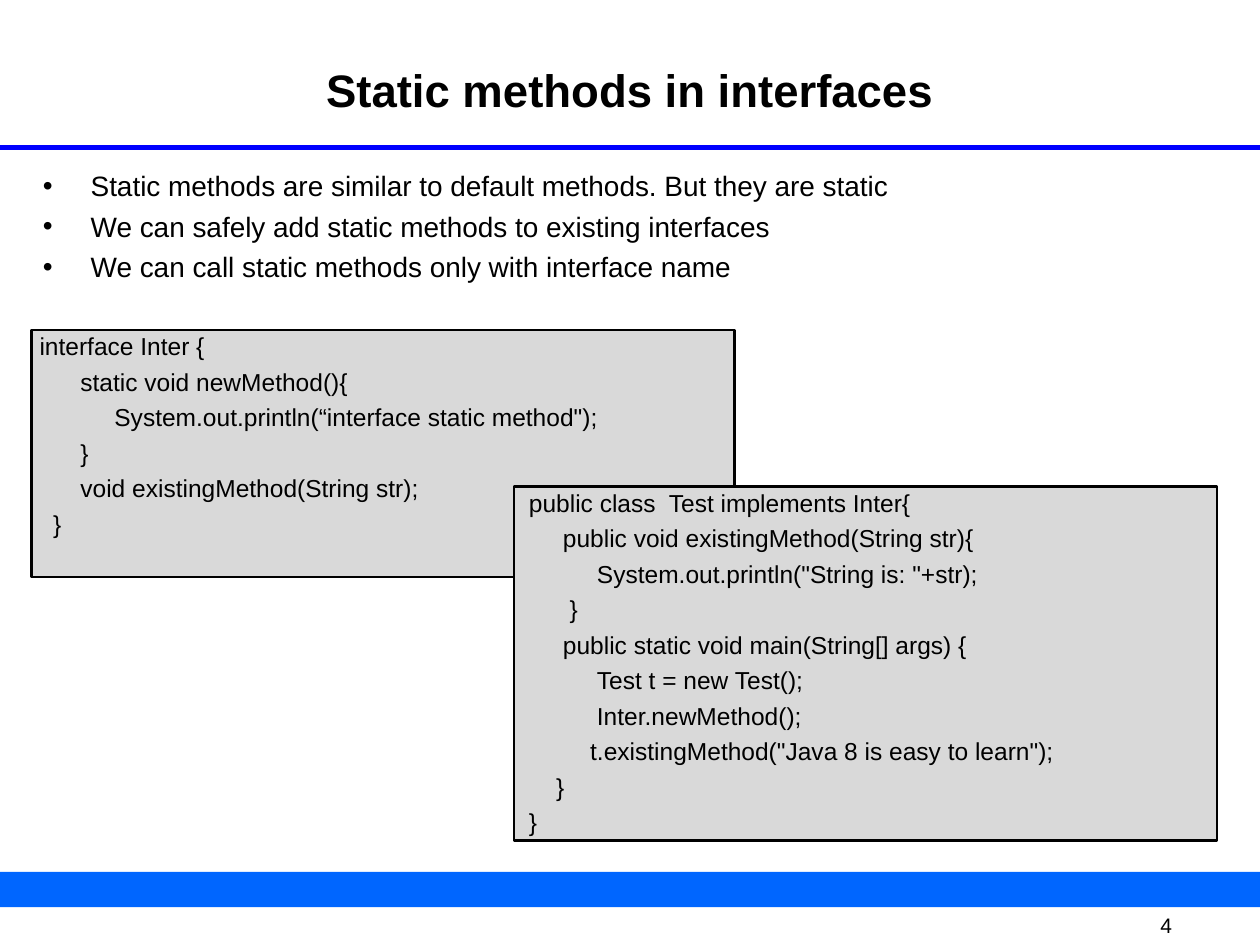
import pptx
import pptx.util
import pptx.dml.color
import pptx.enum.shapes
import pptx.enum.text
import pptx.oxml.ns
from lxml import etree

Inches = pptx.util.Inches
Pt = pptx.util.Pt
ALIGN = pptx.enum.text.PP_ALIGN
ANCHOR = pptx.enum.text.MSO_ANCHOR

FONT = "Arial"
INSET = 0.01
CODE_SIZE = 14
CODE_COLUMN = 0.054  # width of one space at the code size, in inches

INTERFACE_CODE = [
    (1, "interface Inter {"),
    (7, "static void newMethod(){"),
    (12, "System.out.println(“interface static method\");"),
    (7, "}"),
    (7, "void existingMethod(String str);"),
    (3, "}"),
]
CLASS_CODE = [
    (2, "public class  Test implements Inter{"),
    (7, "public void existingMethod(String str){"),
    (12, "System.out.println(\"String is: \"+str);"),
    (8, "}"),
    (7, "public static void main(String[] args) {"),
    (12, "Test t = new Test();"),
    (12, "Inter.newMethod();"),
    (11, "t.existingMethod(\"Java 8 is easy to learn\");"),
    (6, "}"),
    (2, "}"),
]
BULLETS = [
    "Static methods are similar to default methods. But they are static",
    "We can safely add static methods to existing interfaces",
    "We can call static methods only with interface name",
]


def color(value):
    return pptx.dml.color.RGBColor.from_string(value)


def place(shape, box):
    shape.left, shape.top, shape.width, shape.height = map(Inches, box)


def prepare_frame(shape, anchor=ANCHOR.TOP, inset=INSET):
    frame = shape.text_frame
    frame.word_wrap = True
    frame.auto_size = pptx.enum.text.MSO_AUTO_SIZE.NONE
    frame.vertical_anchor = anchor
    frame.margin_left = frame.margin_right = Inches(inset)
    frame.margin_top = frame.margin_bottom = Inches(INSET)
    return frame


def add_text(frame, text, size=CODE_SIZE, bold=False, align=ALIGN.LEFT,
             margin=0, indent=0):
    """Write text into the empty first paragraph, or into a new one below."""
    paragraph = frame.paragraphs[0]
    space = 0
    if paragraph.runs:
        paragraph = frame.add_paragraph()
        space = size * 0.25
    paragraph.alignment = align
    paragraph.space_before = Pt(space)
    properties = paragraph._p.get_or_add_pPr()
    properties.set("marL", str(Inches(margin)))
    properties.set("indent", str(Inches(indent)))
    run = paragraph.add_run()
    run.text = text
    run.font.name = FONT
    run.font.size = Pt(size)
    run.font.bold = bold
    run.font.color.rgb = color("000000")


def add_rectangle(slide, box, fill, line=None):
    shape = slide.shapes.add_shape(
        pptx.enum.shapes.MSO_SHAPE.RECTANGLE, *map(Inches, box))
    shape.shadow.inherit = False
    shape.fill.solid()
    shape.fill.fore_color.rgb = color(fill)
    if line:
        shape.line.color.rgb = color(line)
        shape.line.width = Pt(1.5)
    else:
        shape.line.fill.background()
    return shape


def add_header(slide, box, rule_top):
    place(slide.shapes.title, box)
    add_text(prepare_frame(slide.shapes.title), "Static methods in interfaces",
             size=26, bold=True, align=ALIGN.CENTER)
    rule = slide.shapes.add_connector(
        pptx.enum.shapes.MSO_CONNECTOR.STRAIGHT,
        Inches(0), Inches(rule_top), Inches(10), Inches(rule_top))
    rule.line.color.rgb = color("0000FF")
    rule.line.width = Pt(3)
    etree.SubElement(rule._element.spPr, pptx.oxml.ns.qn("a:effectLst"))


def add_bullets(slide, box):
    body = slide.placeholders[1]
    place(body, box)
    frame = prepare_frame(body)
    for text in BULLETS:
        add_text(frame, text, size=16, margin=0.38, indent=-0.38)


def add_code(slide, box, lines):
    """Draw a grey box of code; each line gives its column and its text."""
    frame = prepare_frame(add_rectangle(slide, box, "D9D9D9", line="000000"))
    for column, text in lines:
        add_text(frame, text, margin=column * CODE_COLUMN)


def add_footer(slide, box):
    left, top, width, height = box
    add_rectangle(slide, box, "0066FF")
    number = slide.shapes.add_textbox(
        Inches(left + 9.07), Inches(top + height + 0.05),
        Inches(0.76), Inches(0.19))
    add_text(prepare_frame(number, ANCHOR.MIDDLE, inset=0.14), "4", size=12)


def main():
    presentation = pptx.Presentation()
    presentation.slide_width = Inches(10)
    presentation.slide_height = Inches(7.5)
    slide = presentation.slides.add_slide(presentation.slide_layouts[1])
    add_footer(slide, (0, 6.92, 10, 0.28))
    add_header(slide, (0.67, 0.48, 8.66, 0.96), rule_top=1.17)
    add_bullets(slide, (0.33, 1.33, 9.25, 1))
    add_code(slide, (0.25, 2.62, 5.58, 1.96), INTERFACE_CODE)
    add_code(slide, (4.08, 3.86, 5.58, 2.81), CLASS_CODE)
    presentation.save("out.pptx")


if __name__ == "__main__":
    main()
